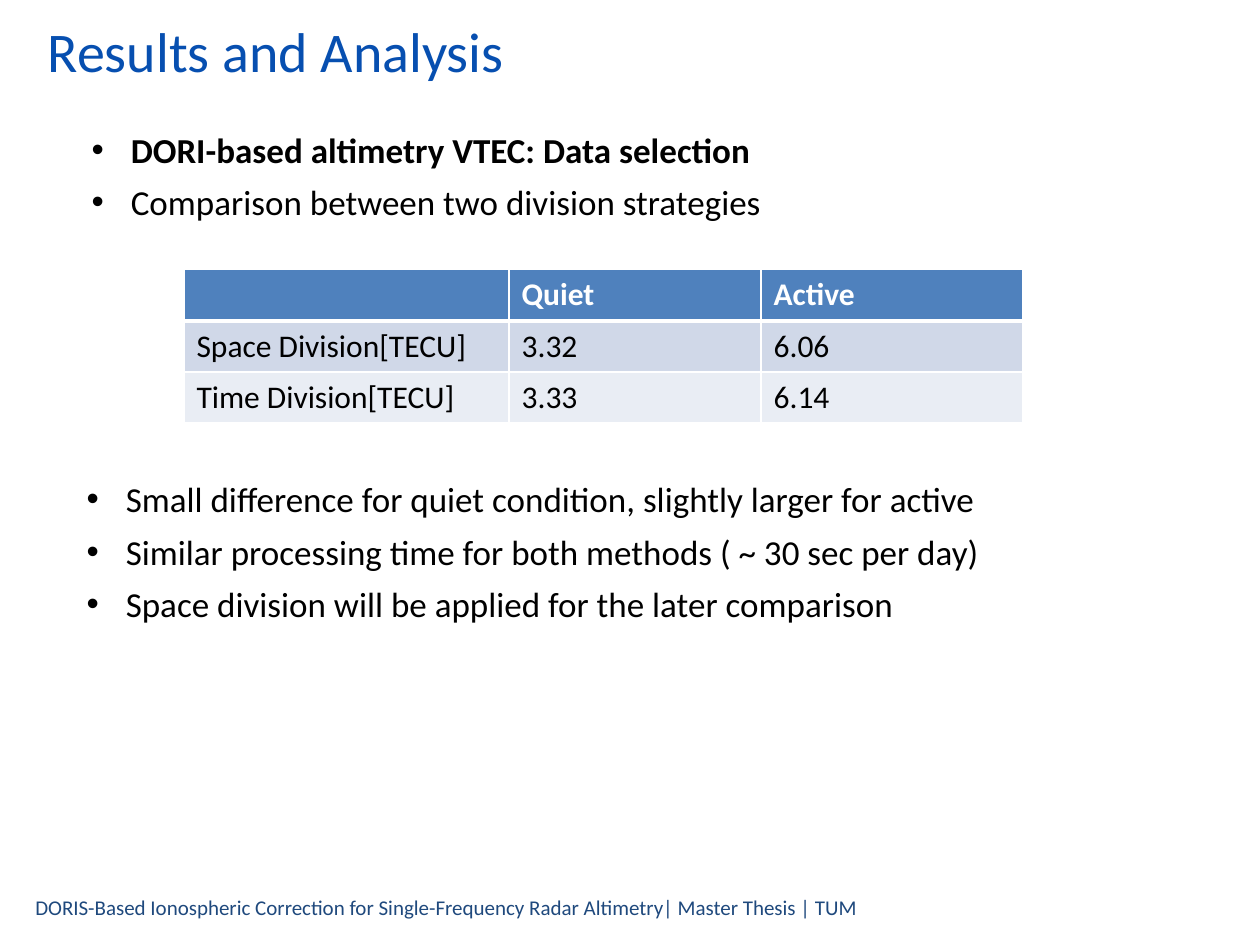
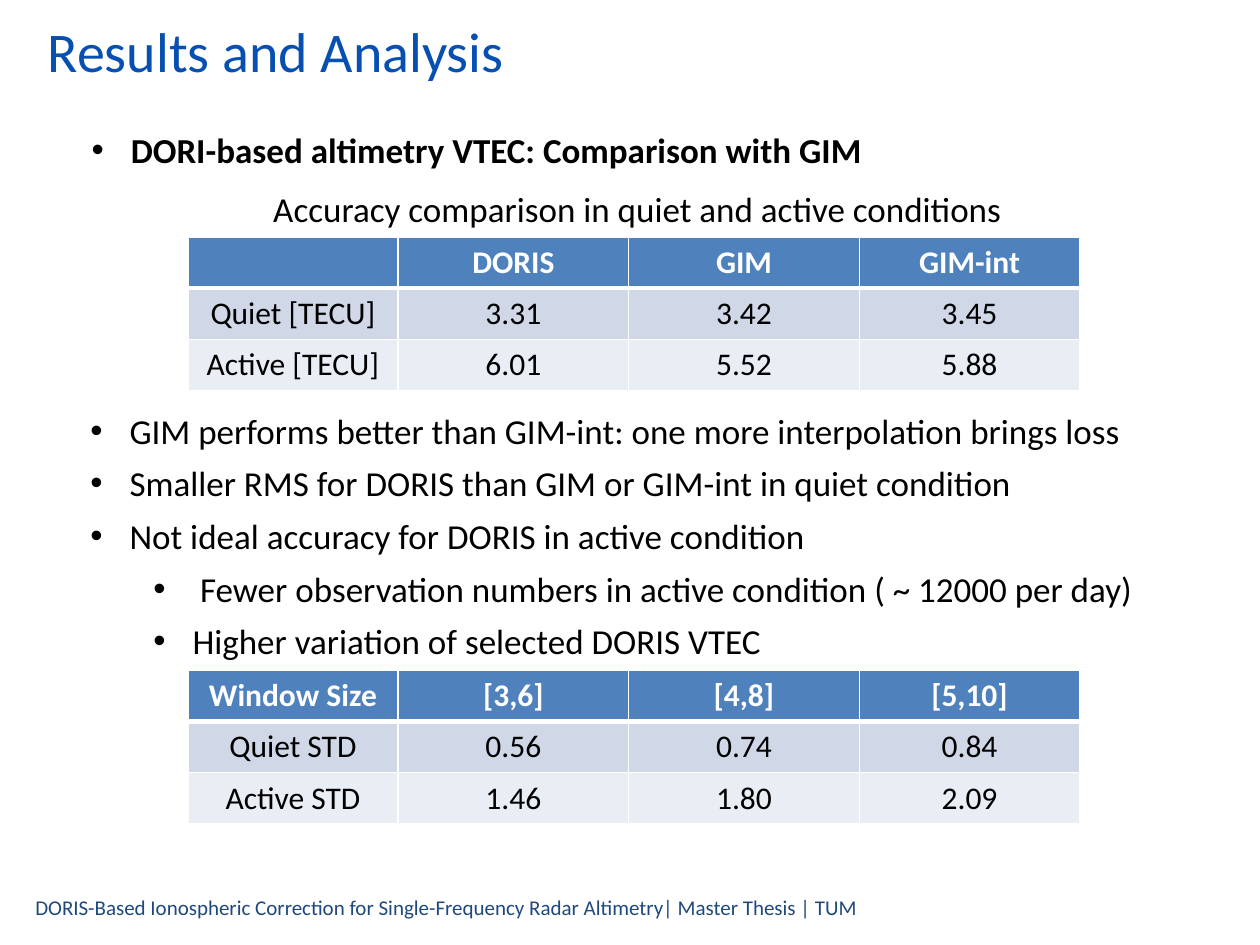
"""Build two thesis slides with accuracy tables on a grid of 100 columns by 75 rows."""
from dataclasses import dataclass

import lxml.etree
import pptx
import pptx.dml.color
import pptx.enum.text
import pptx.oxml.ns
import pptx.util

TITLE_BLUE = pptx.dml.color.RGBColor(0x07, 0x4F, 0xB0)
FOOTER_BLUE = pptx.dml.color.RGBColor(0x1F, 0x49, 0x7D)
HEADER_BLUE = pptx.dml.color.RGBColor(0x4F, 0x81, 0xBD)
BAND_DARK = pptx.dml.color.RGBColor(0xD0, 0xD8, 0xE8)
BAND_LIGHT = pptx.dml.color.RGBColor(0xE9, 0xED, 0xF4)
WHITE = pptx.dml.color.RGBColor(0xFF, 0xFF, 0xFF)
BLACK = pptx.dml.color.RGBColor(0x00, 0x00, 0x00)

FONT = "Calibri"
SLIDE_WIDTH = pptx.util.Inches(10)
SLIDE_HEIGHT = pptx.util.Inches(7.5)
COLUMN = SLIDE_WIDTH / 100
ROW = SLIDE_HEIGHT / 75
BULLET_HANG = 3.1
SUB_BULLET = 5
TABLE_HEIGHT = 12.2
TITLE = "Results and Analysis"
FOOTER = ("DORIS-Based Ionospheric Correction for Single-Frequency Radar Altimetry"
          "| Master Thesis | TUM")


@dataclass(frozen=True)
class Area:
    left: float
    top: float
    width: float
    height: float


@dataclass(frozen=True)
class Line:
    text: str
    bold: bool = False
    bullet: bool = True
    start: float = 0
    hang: float = BULLET_HANG


@dataclass(frozen=True)
class TextBlock:
    area: Area
    lines: tuple[Line, ...]


@dataclass(frozen=True)
class TableBlock:
    left: float
    top: float
    widths: tuple[float, ...]
    rows: tuple[tuple[str, ...], ...]
    centred: bool = True


COMPARISON_WIDTHS = (16.7, 18.3, 18.3, 17.5)

PAGES = (
    (
        TextBlock(Area(6.3, 9.7, 83.3, 8.6), (
            Line("DORI-based altimetry VTEC: Data selection", bold=True),
            Line("Comparison between two division strategies"),
        )),
        TableBlock(14.6, 21.4, (25.8, 20, 20.8), (
            ("", "Quiet", "Active"),
            ("Space Division[TECU]", "3.32", "6.06"),
            ("Time Division[TECU]", "3.33", "6.14"),
        ), centred=False),
        TextBlock(Area(5.9, 37.4, 83.3, 21.2), (
            Line("Small difference for quiet condition, slightly larger for active"),
            Line("Similar processing time for both methods ( ~ 30 sec per day)"),
            Line("Space division will be applied for the later comparison"),
        )),
    ),
    (
        TextBlock(Area(6.3, 9.7, 83.3, 4.4), (
            Line("DORI-based altimetry VTEC: Comparison with GIM", bold=True),
        )),
        TextBlock(Area(20.7, 14.4, 68.9, 4.4), (
            Line("Accuracy comparison in quiet and active conditions", bullet=False),
        )),
        TableBlock(14.9, 18.8, COMPARISON_WIDTHS, (
            ("", "DORIS", "GIM", "GIM-int"),
            ("Quiet [TECU]", "3.31", "3.42", "3.45"),
            ("Active [TECU]", "6.01", "5.52", "5.88"),
        )),
        TextBlock(Area(6.2, 32, 90.4, 21.2), (
            Line("GIM performs better than GIM-int: one more interpolation brings loss"),
            Line("Smaller RMS for DORIS than GIM or GIM-int in quiet condition"),
            Line("Not ideal accuracy for DORIS in active condition"),
            Line("Fewer observation numbers in active condition ( ~ 12000 per day)",
                 start=SUB_BULLET, hang=3.7),
            Line("Higher variation of selected DORIS VTEC", start=SUB_BULLET),
        )),
        TableBlock(14.9, 53.2, COMPARISON_WIDTHS, (
            ("Window Size", "[3,6]", "[4,8]", "[5,10]"),
            ("Quiet STD", "0.56", "0.74", "0.84"),
            ("Active STD", "1.46", "1.80", "2.09"),
        )),
    ),
)


def write(para, text: str, *, size: float, color=BLACK, bold: bool = False) -> None:
    """Add one formatted span of text to a paragraph."""
    span = para.add_run()
    span.text = text
    span.font.name = FONT
    span.font.size = pptx.util.Pt(size)
    span.font.bold = bold
    span.font.color.rgb = color


def add_box(page, area: Area, inset: bool = True):
    """Add an empty wrapping text box and return its frame."""
    box = page.shapes.add_textbox(round(area.left * COLUMN), round(area.top * ROW),
                                  round(area.width * COLUMN), round(area.height * ROW))
    frame = box.text_frame
    frame.word_wrap = True
    if not inset:
        frame.margin_left = frame.margin_right = 0
        frame.margin_top = frame.margin_bottom = 0
    return frame


def add_bullet(para, line: Line) -> None:
    """Give a paragraph a hanging round bullet."""
    properties = para._p.get_or_add_pPr()
    properties.set("marL", str(round((line.start + line.hang) * COLUMN)))
    properties.set("indent", str(round(-line.hang * COLUMN)))
    font = lxml.etree.SubElement(properties, pptx.oxml.ns.qn("a:buFont"))
    font.set("typeface", "Arial")
    mark = lxml.etree.SubElement(properties, pptx.oxml.ns.qn("a:buChar"))
    mark.set("char", "•")


def draw_text(page, block: TextBlock) -> None:
    """Draw the lines of a text block."""
    frame = add_box(page, block.area)
    for index, line in enumerate(block.lines):
        para = frame.add_paragraph() if index else frame.paragraphs[0]
        if line.bullet:
            add_bullet(para, line)
        para.space_after = pptx.util.Pt(6)
        write(para, line.text, size=20, bold=line.bold)


def add_borders(cell, row_index: int) -> None:
    """Draw white cell borders, with a heavier rule under the header."""
    properties = cell._tc.get_or_add_tcPr()
    weights = {"L": 1, "R": 1, "T": 3 if row_index == 1 else 1,
               "B": 3 if row_index == 0 else 1}
    for side, weight in weights.items():
        border = lxml.etree.SubElement(properties, pptx.oxml.ns.qn(f"a:ln{side}"))
        border.set("w", str(pptx.util.Pt(weight)))
        fill = lxml.etree.SubElement(border, pptx.oxml.ns.qn("a:solidFill"))
        color = lxml.etree.SubElement(fill, pptx.oxml.ns.qn("a:srgbClr"))
        color.set("val", str(WHITE))


def draw_table(page, block: TableBlock) -> None:
    """Draw a table with a header row and banded body rows."""
    table = page.shapes.add_table(
        len(block.rows), len(block.widths),
        round(block.left * COLUMN), round(block.top * ROW),
        round(sum(block.widths) * COLUMN), round(TABLE_HEIGHT * ROW)).table
    for column, width in zip(table.columns, block.widths):
        column.width = round(width * COLUMN)
    for row_index, texts in enumerate(block.rows):
        header = row_index == 0
        band = HEADER_BLUE if header else BAND_DARK if row_index % 2 else BAND_LIGHT
        for column_index, text in enumerate(texts):
            cell = table.cell(row_index, column_index)
            add_borders(cell, row_index)
            cell.fill.solid()
            cell.fill.fore_color.rgb = band
            para = cell.text_frame.paragraphs[0]
            if block.centred:
                para.alignment = pptx.enum.text.PP_ALIGN.CENTER
            if text:
                write(para, text, size=18, color=WHITE if header else BLACK, bold=header)


def draw_page(deck, blocks: tuple[TextBlock | TableBlock, ...]) -> None:
    """Add a slide with the shared title and footer and its own blocks."""
    page = deck.slides.add_slide(deck.slide_layouts[6])
    title = add_box(page, Area(2.8, 0.8, 84.6, 6.4))
    write(title.paragraphs[0], TITLE, size=32, color=TITLE_BLUE)
    footer = add_box(page, Area(2.8, 71, 94.5, 2), inset=False)
    write(footer.paragraphs[0], FOOTER, size=12, color=FOOTER_BLUE)
    for block in blocks:
        if isinstance(block, TableBlock):
            draw_table(page, block)
        else:
            draw_text(page, block)


def main() -> None:
    """Build and save the deck."""
    deck = pptx.Presentation()
    deck.slide_width = SLIDE_WIDTH
    deck.slide_height = SLIDE_HEIGHT
    for blocks in PAGES:
        draw_page(deck, blocks)
    deck.save("out.pptx")


if __name__ == "__main__":
    main()
